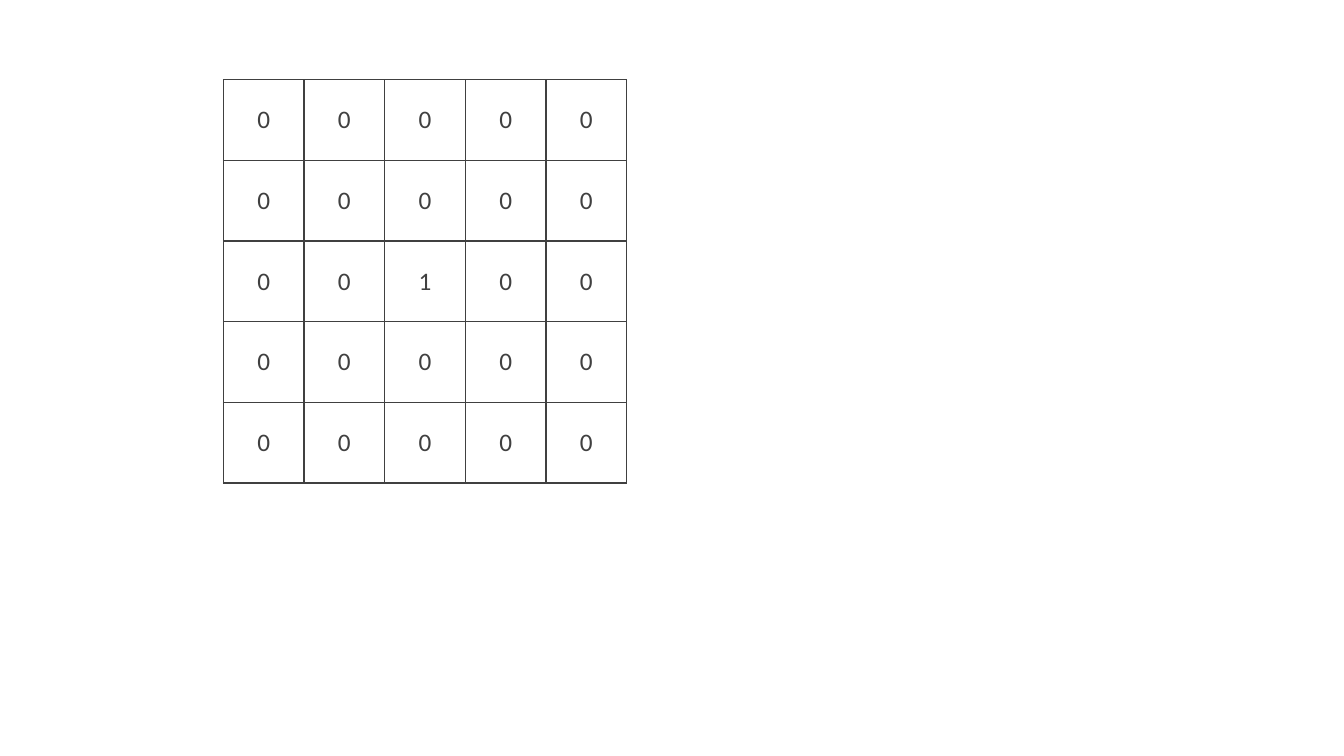
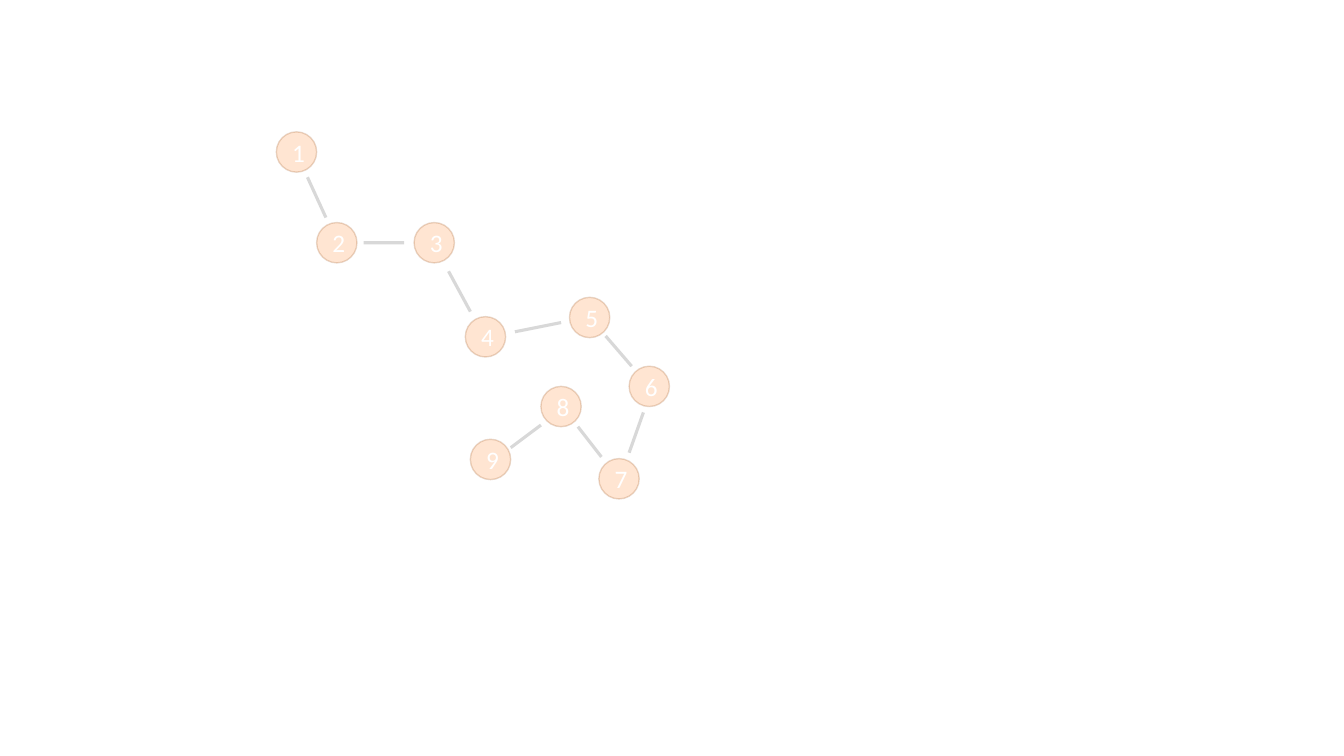
from typing import NamedTuple

from lxml import etree
from pptx import Presentation
from pptx import util as u
from pptx.dml import color, line
from pptx.enum import shapes, text
from pptx.oxml import ns
from pptx.shapes import shapetree
from pptx.slide import Slide
from pptx.table import _Cell
from pptx.text.text import TextFrame

# Shared scale and style: 120 px to the inch
EMU_PER_PX = 7620
PAGE_WIDTH, PAGE_HEIGHT = 1600, 900
FONT = "Calibri"
TEXT_SIZE = 18
OPACITY = 20
INK = color.RGBColor(0x40, 0x40, 0x40)
ORANGE = color.RGBColor(0xFF, 0x80, 0x21)
BROWN = color.RGBColor(0x90, 0x3E, 0x00)
WHITE = color.RGBColor(0xFF, 0xFF, 0xFF)

# Matrix geometry
MATRIX_LEFT, MATRIX_TOP = 266, 95
CELL_SIZE = 96
MATRIX_SIZE = 5

NODE_SIZE = 48


class Node(NamedTuple):
    left: int
    top: int


class Link(NamedTuple):
    start_x: int
    start_y: int
    end_x: int
    end_y: int


# Nodes are numbered in this order
NODES = [
    Node(329, 157),
    Node(377, 265),
    Node(493, 265),
    Node(554, 377),
    Node(678, 354),
    Node(749, 436),
    Node(713, 546),
    Node(644, 460),
    Node(560, 523),
]
LINKS = [
    Link(366, 211, 388, 259),
    Link(433, 289, 481, 289),
    Link(560, 371, 534, 323),
    Link(668, 384, 613, 395),
    Link(752, 436, 721, 400),
    Link(766, 491, 749, 539),
    Link(716, 544, 688, 508),
    Link(644, 506, 608, 533),
]


def px(length: int) -> u.Emu:
    return u.Emu(length * EMU_PER_PX)


def write_text(frame: TextFrame, content: str, *, tint: color.RGBColor,
               size: int = TEXT_SIZE) -> None:
    para = frame.paragraphs[0]
    para.alignment = text.PP_ALIGN.CENTER
    span = para.add_run()
    span.text = content
    span.font.name = FONT
    span.font.size = u.Pt(size)
    span.font.color.rgb = tint


def add_alpha(parent: etree._Element, percent: int) -> None:
    """Set the opacity of the solid colour below parent."""
    for tint in parent.findall(f"{ns.qn('a:solidFill')}/{ns.qn('a:srgbClr')}"):
        etree.SubElement(tint, ns.qn("a:alpha"), val=str(percent * 1000))


def style_line(outline: line.LineFormat, tint: color.RGBColor, width: float) -> None:
    outline.color.rgb = tint
    outline.width = u.Pt(width)


def add_borders(cell: _Cell, tint: color.RGBColor, width: float) -> None:
    properties = cell._tc.get_or_add_tcPr()
    for side in "LRTB":
        border = etree.SubElement(properties, ns.qn(f"a:ln{side}"), w=str(u.Pt(width)))
        fill = etree.SubElement(border, ns.qn("a:solidFill"))
        etree.SubElement(fill, ns.qn("a:srgbClr"), val=str(tint))


# Slide 1: matrix with a single one in the middle
def draw_matrix(page: Slide) -> None:
    extent = px(MATRIX_SIZE * CELL_SIZE)
    matrix = page.shapes.add_table(MATRIX_SIZE, MATRIX_SIZE, px(MATRIX_LEFT),
                                   px(MATRIX_TOP), extent, extent).table
    matrix.first_row = False
    matrix.horz_banding = False
    middle = MATRIX_SIZE // 2
    for row_index, row in enumerate(matrix.rows):
        row.height = px(CELL_SIZE)
        for column_index, cell in enumerate(row.cells):
            add_borders(cell, INK, 1)
            cell.fill.solid()
            cell.fill.fore_color.rgb = WHITE
            cell.vertical_anchor = text.MSO_ANCHOR.MIDDLE
            is_middle = row_index == column_index == middle
            write_text(cell.text_frame, "1" if is_middle else "0", tint=INK)


# Slide 2: chain of faded, numbered nodes
def draw_node(group: shapetree.GroupShapes, node: Node, label: str) -> None:
    circle = group.add_shape(shapes.MSO_SHAPE.OVAL, px(node.left), px(node.top),
                             px(NODE_SIZE), px(NODE_SIZE))
    circle.shadow.inherit = False
    circle.fill.solid()
    circle.fill.fore_color.rgb = ORANGE
    style_line(circle.line, BROWN, 1)
    properties = circle._element.spPr
    add_alpha(properties, OPACITY)
    add_alpha(properties.find(ns.qn("a:ln")), OPACITY)
    circle.text_frame.vertical_anchor = text.MSO_ANCHOR.MIDDLE
    write_text(circle.text_frame, label, tint=WHITE)


def draw_link(group: shapetree.GroupShapes, link: Link) -> None:
    connector = group.add_connector(shapes.MSO_CONNECTOR.STRAIGHT,
                                    *(px(value) for value in link))
    style_line(connector.line, INK, 2.25)
    properties = connector._element.spPr
    add_alpha(properties.find(ns.qn("a:ln")), OPACITY)
    etree.SubElement(properties, ns.qn("a:effectLst"))


def draw_chain(page: Slide) -> None:
    group = page.shapes.add_group_shape().shapes
    for number, node in enumerate(NODES, start=1):
        draw_node(group, node, str(number))
    for link in LINKS:
        draw_link(group, link)


def main() -> None:
    deck = Presentation()
    deck.slide_width = px(PAGE_WIDTH)
    deck.slide_height = px(PAGE_HEIGHT)
    blank = deck.slide_layouts[6]
    for draw in (draw_matrix, draw_chain):
        draw(deck.slides.add_slide(blank))
    deck.save("out.pptx")


if __name__ == "__main__":
    main()
